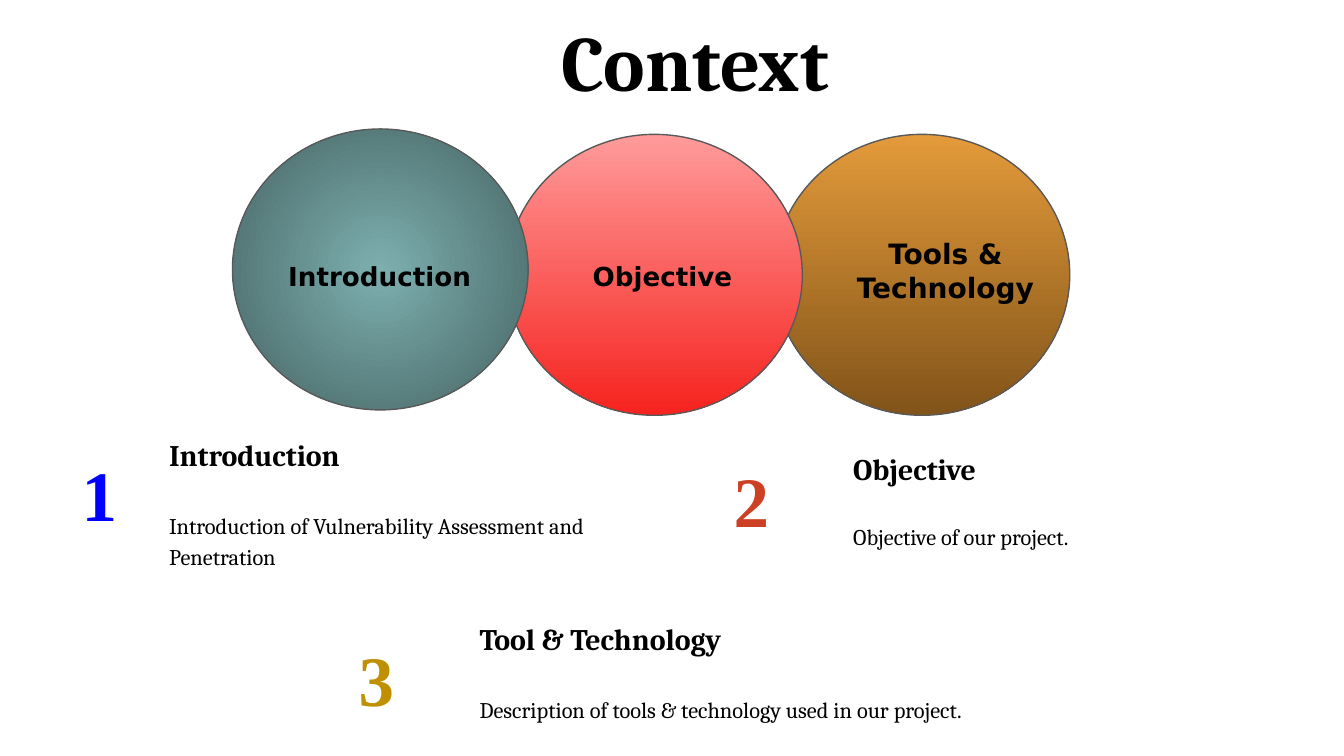
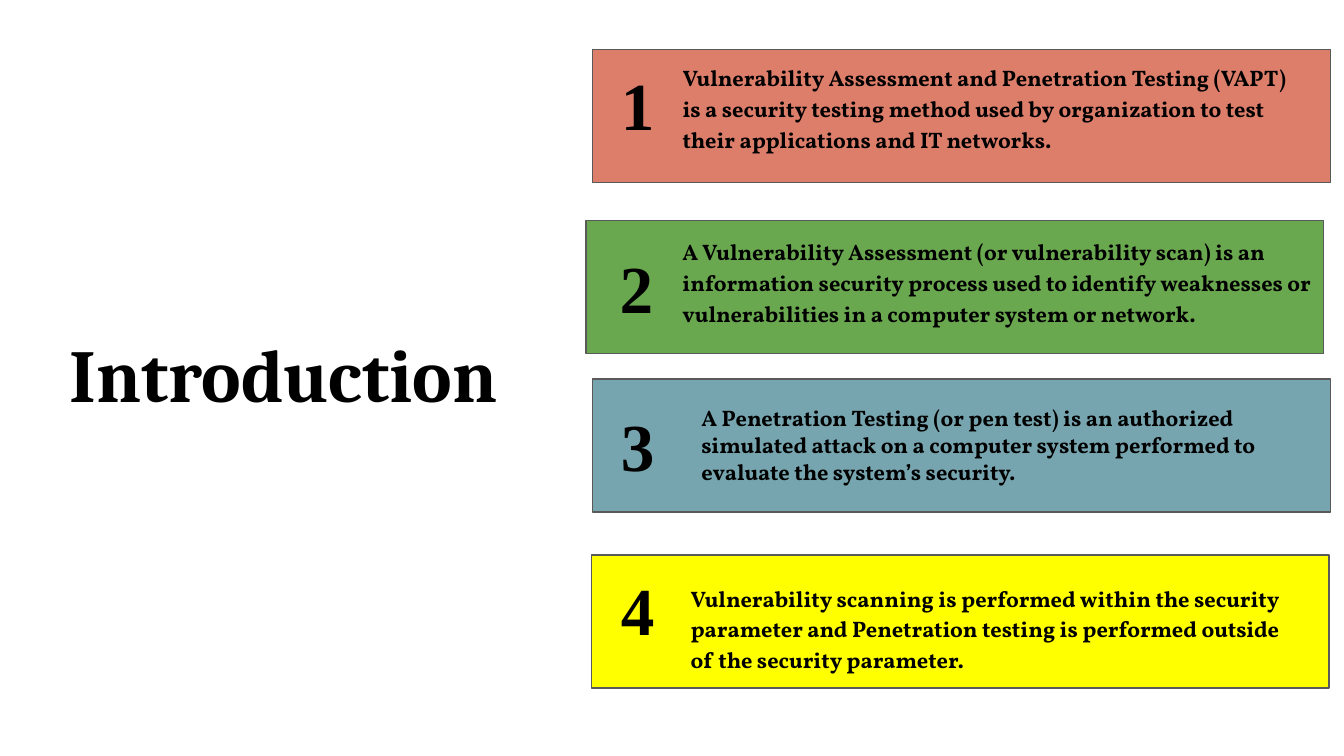
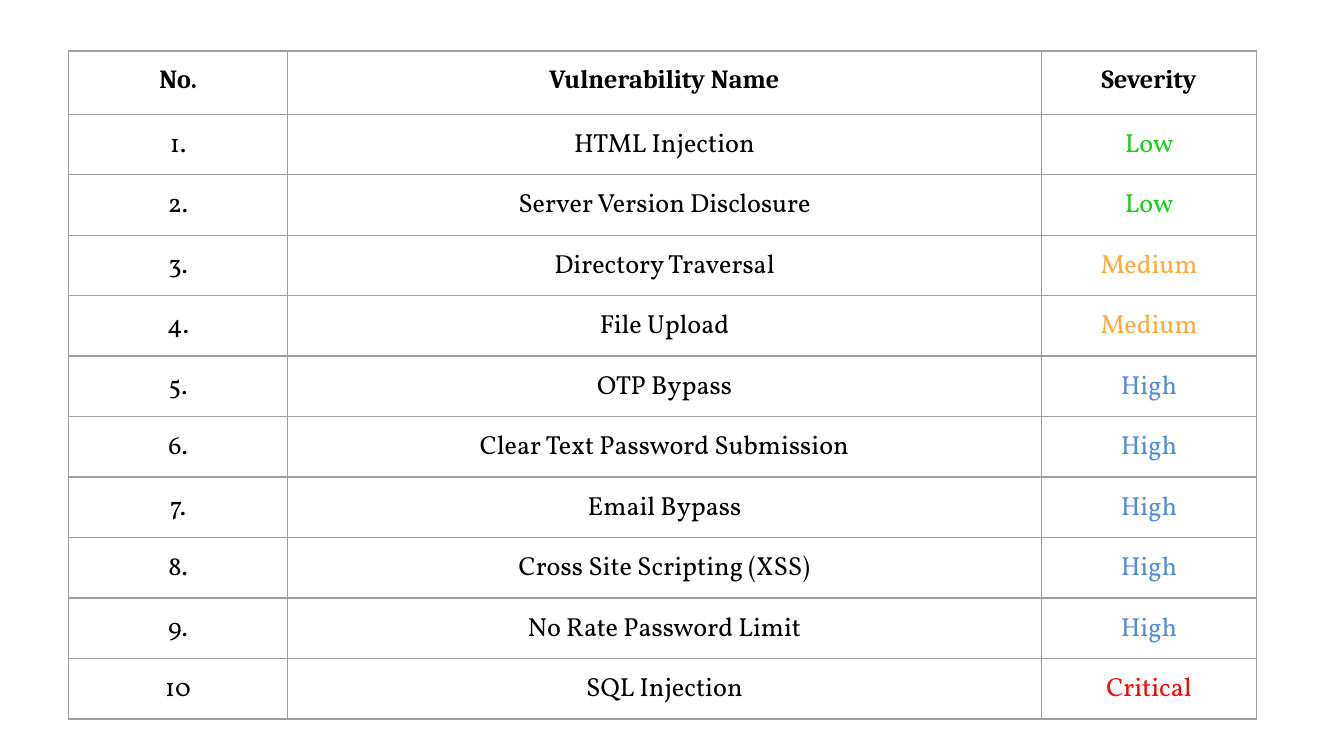
from dataclasses import dataclass

from lxml.etree import SubElement
from pptx import Presentation
from pptx.dml.color import RGBColor
from pptx.enum.shapes import MSO_SHAPE
from pptx.enum.text import MSO_ANCHOR, PP_ALIGN
from pptx.oxml import parse_xml
from pptx.oxml.ns import nsdecls, qn
from pptx.util import Inches, Pt

COLUMNS = 100  # square grid cells across the slide; rows use the same step


@dataclass(frozen=True)
class Theme:
    # Fonts
    serif: str = "Cambria"
    label: str = "DejaVu Sans"
    numeral: str = "Times New Roman"
    body: str = "Vollkorn"
    # Colours
    ink: str = "000000"
    outline: str = "595959"
    grid: str = "9E9E9E"
    teal: tuple = ("7DAFAF", "466363")
    red: tuple = ("FE9B9A", "F6231F")
    amber: tuple = ("E39A3A", "825419")
    numerals: tuple = ("0000FF", "CC4125", "BF9000")
    bands: tuple = ("DD7E6B", "6AA84F", "76A5AF", "FFFF00")
    # Type sizes and line width
    title: int = 42
    side_title: int = 40
    topic_number: int = 38
    band_number: int = 36
    heading: int = 16
    table: int = 14
    text: int = 12
    hairline: float = 0.75


THEME = Theme()
SEVERITY = {"Low": "18CE18", "Medium": "FFAB40", "High": "558ED5", "Critical": "FF0000"}


def write(frame, text, font=THEME.serif, size=THEME.text, color=THEME.ink, bold=True,
          align=PP_ALIGN.LEFT, spacing=None, before=None):
    """Add a formatted paragraph, using the frame's first one if it is free."""
    paragraph = frame.add_paragraph() if frame.text else frame.paragraphs[0]
    paragraph.alignment = align
    if spacing:
        paragraph.line_spacing = spacing
    if before:
        paragraph.space_before = Pt(before)
    run = paragraph.add_run()
    run.text = text
    run.font.name, run.font.size, run.font.bold = font, Pt(size), bold
    run.font.color.rgb = RGBColor.from_string(color)


class Deck:
    def __init__(self, theme):
        self.theme = theme
        self.file = Presentation()
        self.file.slide_width = Inches(10)
        self.file.slide_height = self.file.slide_width * 9 // 16
        self.cell = self.file.slide_width / COLUMNS
        self.slide = None

    def new_slide(self):
        self.slide = self.file.slides.add_slide(self.file.slide_layouts[6])

    def place(self, *grid):
        return [round(value * self.cell) for value in grid]

    def text(self, area, text="", **style):
        frame = self.slide.shapes.add_textbox(*self.place(*area)).text_frame
        frame.word_wrap = True
        self.pad(frame)
        if text:
            write(frame, text, **style)
        return frame

    def pad(self, holder):
        holder.margin_left = holder.margin_right = round(self.cell)
        holder.margin_top = holder.margin_bottom = round(self.cell)

    def outlined(self, kind, area):
        shape = self.slide.shapes.add_shape(kind, *self.place(*area))
        shape.shadow.inherit = False
        shape.line.color.rgb = RGBColor.from_string(self.theme.outline)
        shape.line.width = Pt(self.theme.hairline)
        return shape

    def band(self, area, color):
        fill = self.outlined(MSO_SHAPE.RECTANGLE, area).fill
        fill.solid()
        fill.fore_color.rgb = RGBColor.from_string(color)

    def circle(self, area, colors, radial=False):
        shape = self.outlined(MSO_SHAPE.OVAL, area)
        shape.fill.gradient()
        shape.fill.gradient_angle = 270
        for stop, color in zip(shape.fill.gradient_stops, colors):
            stop.color.rgb = RGBColor.from_string(color)
        if radial:
            linear = shape.element.spPr.find(".//" + qn("a:lin"))
            linear.getparent().replace(linear, parse_xml(
                f'<a:path {nsdecls("a")} path="circle">'
                '<a:fillToRect l="50000" t="50000" r="50000" b="50000"/></a:path>'))

    def table(self, left, top, widths, heights):
        area = self.place(left, top, sum(widths), sum(heights))
        table = self.slide.shapes.add_table(len(heights), len(widths), *area).table
        table.first_row = table.horz_banding = False
        for column, width in zip(table.columns, self.place(*widths)):
            column.width = width
        for row, height in zip(table.rows, self.place(*heights)):
            row.height = height
        return table

    def table_cell(self, cell, text, **style):
        self.pad(cell)
        cell.vertical_anchor = MSO_ANCHOR.TOP
        properties = cell._tc.get_or_add_tcPr()
        for side in ("lnL", "lnR", "lnT", "lnB"):
            border = SubElement(properties, qn("a:" + side), w=str(Pt(self.theme.hairline)))
            solid = SubElement(border, qn("a:solidFill"))
            SubElement(solid, qn("a:srgbClr"), val=self.theme.grid)
        cell.fill.background()
        write(cell.text_frame, text, size=self.theme.table, align=PP_ALIGN.CENTER, **style)


def context_slide(deck):
    theme = deck.theme
    deck.new_slide()

    # Overlapping circles, the first one on top
    deck.circle((57.6, 10, 22, 20.9), theme.amber)
    deck.text((17.3, 0, 68.8, 8.6), "Context", size=theme.title, align=PP_ALIGN.CENTER)
    deck.circle((37.7, 10, 22, 20.9), theme.red)
    deck.circle((17.3, 9.6, 22, 20.9), theme.teal, radial=True)
    labels = [
        ("Introduction", 14, (19.7, 18.4, 17.1, 4.1)),
        ("Objective", 14, (40.3, 18.4, 18, 4.1)),
        ("Tools & Technology", 15, (61.8, 16.6, 17.1, 7.7)),
    ]
    for label, size, area in labels:
        deck.text(area, label, font=theme.label, size=size, align=PP_ALIGN.CENTER)

    # Numbered topics
    center, left = PP_ALIGN.CENTER, PP_ALIGN.LEFT
    topics = [
        ("Introduction", "Introduction of Vulnerability Assessment and Penetration",
         (2.2, 32.5, 10.4, 8.6), center, (11.6, 31.5, 40.4, 11.8), 19),
        ("Objective", "Objective of our project.",
         (53.6, 33, 8.2, 7.7), left, (62.5, 32.5, 35.4, 11), 18),
        ("Tool & Technology", "Description of tools & technology used in our project.",
         (25.7, 46.3, 8.2, 7.7), left, (34.7, 45.2, 52.5, 9.9), 19),
    ]
    for number, (topic, color) in enumerate(zip(topics, theme.numerals), 1):
        heading, summary, number_area, align, area, gap = topic
        deck.text(number_area, str(number), font=theme.numeral, size=theme.topic_number,
                  color=color, align=align)
        frame = deck.text(area, heading, size=theme.heading)
        write(frame, summary, bold=False, spacing=1.15, before=gap)


def introduction_slide(deck):
    theme = deck.theme
    deck.new_slide()

    # Each point: band corner, number area, text area, line spacing
    points = [
        ("Vulnerability Assessment and Penetration Testing (VAPT) is a security testing method "
         "used by organization to test their applications and IT networks.",
         (44.1, 3.7), (44.1, 3.7, 6.7, 9.9), (49.8, 3.5, 48.2, 8.1), 1.15),
        ("A Vulnerability Assessment (or vulnerability scan) is an information security process "
         "used to identify weaknesses or vulnerabilities in a computer system or network.",
         (43.6, 16.4), (43.6, 17.3, 7.5, 6.1), (49.8, 16.4, 49.6, 9.9), 1.15),
        ("A Penetration Testing (or pen test) is an authorized simulated attack on a computer "
         "system performed to evaluate the system’s security.",
         (44.1, 28.2), (44.1, 29.1, 6.7, 7.1), (51.2, 29.1, 43.9, 8.1), None),
        ("Vulnerability scanning is performed within the security parameter and Penetration "
         "testing is performed outside of the security parameter.",
         (44, 41.3), (44.1, 41.3, 6.7, 7.1), (50.4, 42.2, 47.1, 8.1), 1.15),
    ]
    for number, (point, color) in enumerate(zip(points, theme.bands), 1):
        statement, corner, number_area, area, spacing = point
        deck.band((*corner, 54.9, 9.9), color)
        deck.text(number_area, str(number), font=theme.numeral, size=theme.band_number,
                  align=PP_ALIGN.CENTER)
        deck.text(area, statement, font=theme.body, spacing=spacing)

    # Side title
    deck.text((0, 23.4, 42.2, 7.1), "Introduction", size=theme.side_title,
              align=PP_ALIGN.CENTER)


def findings_slide(deck):
    deck.new_slide()
    findings = [
        ("1.", "HTML Injection", "Low"),
        ("2.", "Server Version Disclosure", "Low"),
        ("3.", "Directory Traversal", "Medium"),
        ("4.", "File Upload", "Medium"),
        ("5.", "OTP Bypass", "High"),
        ("6.", "Clear Text Password Submission", "High"),
        ("7.", "Email Bypass", "High"),
        ("8.", "Cross Site Scripting (XSS)", "High"),
        ("9.", "No Rate Password Limit", "High"),
        ("10", "SQL Injection", "Critical"),
    ]
    table = deck.table(5.1, 3.8, (16.3, 56.1, 16), [4.7] + [4.5] * len(findings))

    # Header row
    for column, heading in enumerate(("No.", "Vulnerability Name", "Severity")):
        deck.table_cell(table.cell(0, column), heading)

    # Findings, with the severity in its own colour
    for row, finding in enumerate(findings, 1):
        for column, value in enumerate(finding):
            deck.table_cell(table.cell(row, column), value, font=deck.theme.body, bold=False,
                            color=SEVERITY.get(value, deck.theme.ink))


def main():
    deck = Deck(THEME)
    context_slide(deck)
    introduction_slide(deck)
    findings_slide(deck)
    deck.file.save("out.pptx")


if __name__ == "__main__":
    main()
